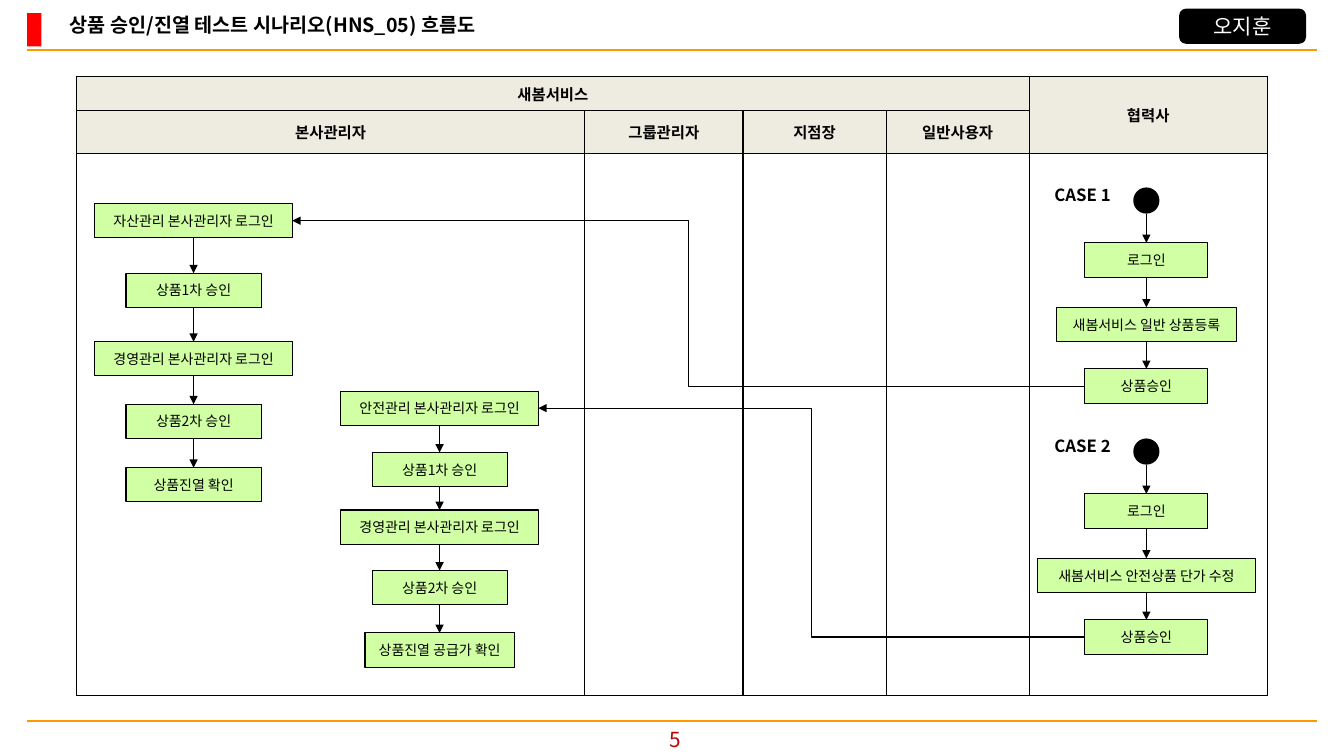
"""Build the flow chart slide for the product approval and display test."""
from dataclasses import dataclass

from lxml import etree
from pptx import Presentation
from pptx.dml.color import RGBColor
from pptx.enum.shapes import MSO_CONNECTOR, MSO_SHAPE
from pptx.enum.text import MSO_ANCHOR, PP_ALIGN
from pptx.oxml.ns import qn
from pptx.shapes.autoshape import Shape
from pptx.shapes.connector import Connector
from pptx.shapes.shapetree import SlideShapes
from pptx.table import _Cell
from pptx.text.text import TextFrame
from pptx.util import Inches, Pt

BLACK = RGBColor(0x00, 0x00, 0x00)
WHITE = RGBColor(0xFF, 0xFF, 0xFF)
RED = RGBColor(0xFF, 0x00, 0x00)
WINE = RGBColor(0xC0, 0x00, 0x00)
ORANGE = RGBColor(0xFF, 0x99, 0x00)
GREEN = RGBColor(0xD1, 0xFF, 0xA3)
BEIGE = RGBColor(0xEE, 0xEC, 0xE1)
FONT = "Noto Sans CJK KR"

RECT = MSO_SHAPE.RECTANGLE
ROUND = MSO_SHAPE.ROUNDED_RECTANGLE
DOT = MSO_SHAPE.FLOWCHART_CONNECTOR
LINE = MSO_CONNECTOR.STRAIGHT
ELBOW = MSO_CONNECTOR.ELBOW
LEFT = PP_ALIGN.LEFT
CENTER = PP_ALIGN.CENTER
TOP = MSO_ANCHOR.TOP
MIDDLE = MSO_ANCHOR.MIDDLE

STEP_H = 0.34
DOT_D = 0.26


@dataclass
class Step:
    top: float
    width: float
    text: str


@dataclass
class Case:
    label: str
    dot: float
    mid: float
    start: list[Step]
    office: list[Step]


CASE_X = 11.37
CASES = [
    Case("CASE 1", 1.86, 1.92,
         [Step(2.41, 1.22, "로그인"),
          Step(3.05, 1.79, "새봄서비스 일반 상품등록"),
          Step(3.66, 1.22, "상품승인")],
         [Step(2.02, 1.96, "자산관리 본사관리자 로그인"),
          Step(2.71, 1.34, "상품1차 승인"),
          Step(3.39, 1.96, "경영관리 본사관리자 로그인"),
          Step(4.01, 1.34, "상품2차 승인"),
          Step(4.64, 1.34, "상품진열 확인")]),
    Case("CASE 2", 4.35, 4.36,
         [Step(4.9, 1.22, "로그인"),
          Step(5.54, 2.16, "새봄서비스 안전상품 단가 수정"),
          Step(6.15, 1.22, "상품승인")],
         [Step(3.88, 1.96, "안전관리 본사관리자 로그인"),
          Step(4.49, 1.34, "상품1차 승인"),
          Step(5.06, 1.96, "경영관리 본사관리자 로그인"),
          Step(5.66, 1.34, "상품2차 승인"),
          Step(6.28, 1.48, "상품진열 공급가 확인")]),
]

COLS = [5.04, 1.57, 1.42, 1.42, 2.36]
ROWS = [0.34, 0.42, 5.38]
HEADS = [["새봄서비스", "", "", "", "협력사"],
         ["본사관리자", "그룹관리자", "지점장", "일반사용자", ""],
         [""] * len(COLS)]


def write(frame: TextFrame, text: str, size: float, color: RGBColor = BLACK,
          bold: bool = False, align: PP_ALIGN = CENTER) -> None:
    frame.text = text
    para = frame.paragraphs[0]
    para.alignment = align
    for run in para.runs:
        font = run.font
        font.size, font.bold, font.name = Pt(size), bold, FONT
        font.color.rgb = color
        etree.SubElement(font._element, qn("a:ea"), typeface=FONT)


def block(shapes: SlideShapes, kind: MSO_SHAPE, left: float, top: float,
          width: float, height: float, fill: RGBColor,
          line: float = 0) -> Shape:
    shape = shapes.add_shape(kind, Inches(left), Inches(top),
                             Inches(width), Inches(height))
    shape.shadow.inherit = False
    shape.fill.solid()
    shape.fill.fore_color.rgb = fill
    if line:
        shape.line.color.rgb = BLACK
        shape.line.width = Pt(line)
    else:
        shape.line.fill.background()
    shape.text_frame.vertical_anchor = MIDDLE
    return shape


def link(shapes: SlideShapes, kind: MSO_CONNECTOR, x1: float, y1: float,
         x2: float, y2: float, color: RGBColor = BLACK, width: float = 0.75,
         arrow: bool = True) -> Connector:
    wire = shapes.add_connector(kind, Inches(x1), Inches(y1),
                                Inches(x2), Inches(y2))
    wire.line.color.rgb = color
    wire.line.width = Pt(width)
    if arrow:
        etree.SubElement(wire.line._get_or_add_ln(), qn("a:tailEnd"),
                         type="triangle")
    etree.SubElement(wire._element.spPr, qn("a:effectLst"))
    return wire


def join(shapes: SlideShapes, kind: MSO_CONNECTOR, start: Shape, side: int,
         end: Shape, port: int) -> None:
    wire = link(shapes, kind, 0, 0, 0, 0)
    wire.begin_connect(start, side)
    wire.end_connect(end, port)


def label(shapes: SlideShapes, left: float, top: float, width: float,
          height: float) -> TextFrame:
    frame = shapes.add_textbox(Inches(left), Inches(top), Inches(width),
                               Inches(height)).text_frame
    frame.word_wrap = True
    return frame


def chain(shapes: SlideShapes, mid: float, steps: list[Step]) -> list[Shape]:
    boxes: list[Shape] = []
    for step in steps:
        box = block(shapes, RECT, mid - step.width / 2, step.top, step.width,
                    STEP_H, GREEN, 0.75)
        box.text_frame.word_wrap = False
        write(box.text_frame, step.text, 10)
        boxes.append(box)
    for upper, lower in zip(boxes, boxes[1:]):
        join(shapes, LINE, upper, 2, lower, 0)
    return boxes


def edge(cell: _Cell) -> None:
    props = cell._tc.get_or_add_tcPr()
    for side in ("lnL", "lnR", "lnT", "lnB"):
        line = etree.SubElement(props, qn(f"a:{side}"), w=str(Pt(1)))
        fill = etree.SubElement(line, qn("a:solidFill"))
        etree.SubElement(fill, qn("a:srgbClr"), val=str(BLACK))


def lanes(shapes: SlideShapes) -> None:
    table = shapes.add_table(len(ROWS), len(COLS), Inches(0.76), Inches(0.76),
                             Inches(sum(COLS)), Inches(sum(ROWS))).table
    for col, width in zip(table.columns, COLS):
        col.width = Inches(width)
    for row, height in zip(table.rows, ROWS):
        row.height = Inches(height)
    for r, heads in enumerate(HEADS):
        for c, head in enumerate(heads):
            cell = table.cell(r, c)
            edge(cell)
            cell.fill.solid()
            cell.fill.fore_color.rgb = BEIGE if r < 2 else WHITE
            cell.vertical_anchor = MIDDLE
            write(cell.text_frame, head, 11, bold=True)
    table.cell(0, 0).merge(table.cell(0, 3))
    table.cell(0, 4).merge(table.cell(1, 4))


def flow(shapes: SlideShapes, case: Case) -> None:
    start = chain(shapes, CASE_X, case.start)
    office = chain(shapes, case.mid, case.office)
    block(shapes, DOT, CASE_X - DOT_D / 2, case.dot, DOT_D, DOT_D, BLACK)
    wire = link(shapes, LINE, CASE_X, case.dot + DOT_D, CASE_X,
                case.start[0].top)
    wire.end_connect(start[0], 0)
    join(shapes, ELBOW, start[-1], 1, office[0], 3)
    write(label(shapes, 10.36, case.dot - 0.08, 0.79, 0.3), case.label, 12,
          bold=True, align=LEFT)


def main() -> None:
    deck = Presentation()
    deck.slide_width, deck.slide_height = Inches(13.33), Inches(7.5)
    slide = deck.slides.add_slide(deck.slide_layouts[5])
    shapes = slide.shapes
    title = shapes.title
    title.left, title.top = Inches(0.59), Inches(0.08)
    title.width, title.height = Inches(4.61), Inches(0.34)
    title.text_frame.vertical_anchor = TOP
    write(title.text_frame, "상품 승인/진열 테스트 시나리오(HNS_05) 흐름도", 14,
          bold=True, align=LEFT)
    for y in (0.5, 7.15):
        link(shapes, LINE, 0.27, y, 13.06, y, ORANGE, 1.5, False)
    block(shapes, RECT, 0.27, 0.13, 0.14, 0.33, RED)
    write(label(shapes, 6.18, 7.16, 1.03, 0.37), "5", 14.8, WINE)
    lanes(shapes)
    for case in CASES:
        flow(shapes, case)
    badge = block(shapes, ROUND, 11.71, 0.1, 1.23, 0.32, BLACK, 2)
    write(badge.text_frame, "오지훈", 15, WHITE)
    deck.save("out.pptx")


if __name__ == "__main__":
    main()
